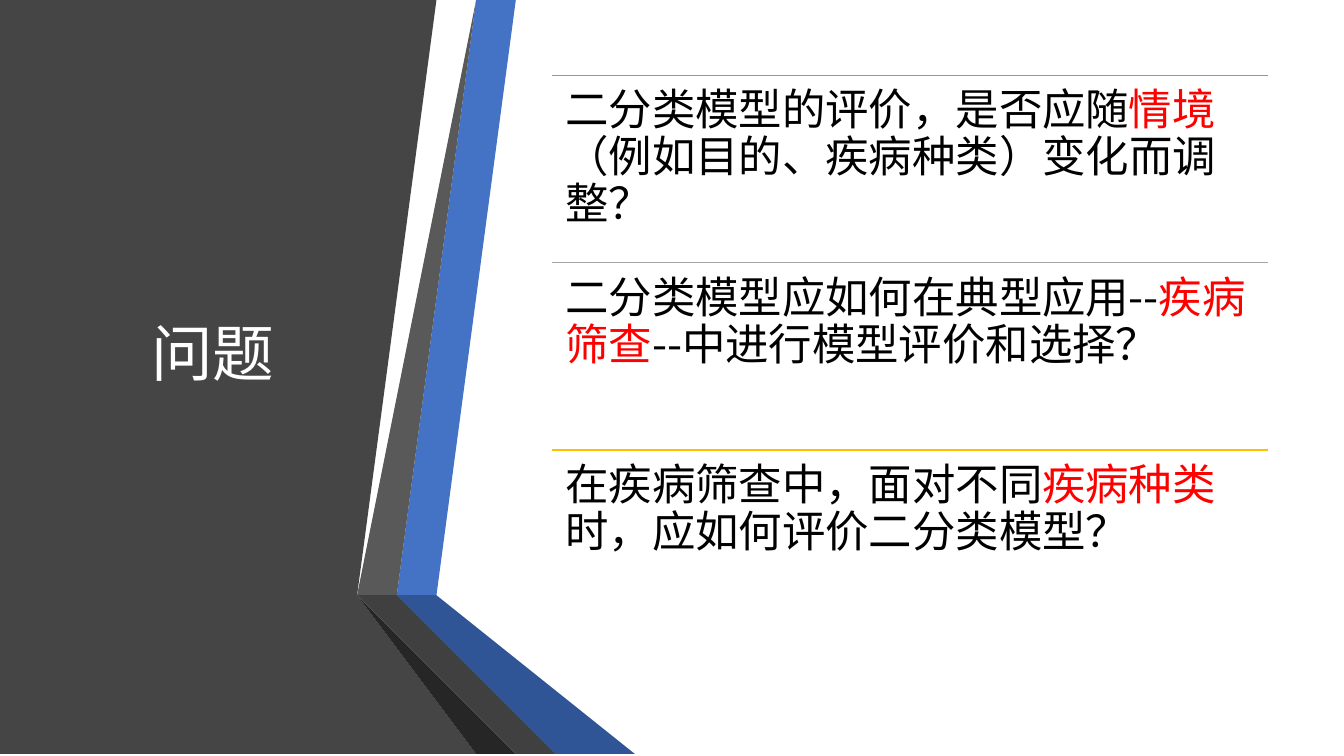
from dataclasses import dataclass

from lxml.etree import SubElement
from pptx import Presentation
from pptx.dml.color import RGBColor as Rgb
from pptx.enum.shapes import MSO_CONNECTOR as Connector
from pptx.enum.text import MSO_ANCHOR as Anchor, MSO_AUTO_SIZE as AutoSize, PP_ALIGN as Align
from pptx.oxml.ns import qn
from pptx.slide import Slide
from pptx.text.text import TextFrame
from pptx.util import Cm, Pt

FONT = "Noto Sans CJK SC"
COLORS = {
    "panel": "454545",
    "blue": "4472C4",
    "deep blue": "2F5597",
    "navy": "203864",
    "gray": "595959",
    "charcoal": "404040",
    "black edge": "262626",
    "orange": "ED7D31",
    "silver": "A5A5A5",
    "gold": "FFC000",
    "white": "FFFFFF",
    "black": "000000",
    "red": "FF0000",
}
PAGE_WIDTH, PAGE_HEIGHT = 33.87, 19.05
ROW_LEFT, ROW_TOP, ROW_WIDTH, ROW_HEIGHT = 13.92, 1.9, 18.03, 4.72


@dataclass(frozen=True)
class Band:
    color: str
    points: tuple[tuple[float, float], ...]


@dataclass(frozen=True)
class Question:
    rule_color: str
    before: str
    keyword: str
    after: str


BANDS = (
    Band("panel", ((0, 0), (11.4, 0), (9.04, 14.62), (12.24, PAGE_HEIGHT), (0, PAGE_HEIGHT))),
    Band("blue", ((10.06, 14.68), (10.74, 14.81), (13.18, 0), (12.47, 0))),
    Band("gray", ((12.32, 0), (11.61, 0), (9.22, 14.55), (9.91, 14.66))),
    Band("black edge", ((9.22, 14.55), (12.47, PAGE_HEIGHT), (12.62, PAGE_HEIGHT))),
    Band("navy", ((10.06, 14.71), (14.07, PAGE_HEIGHT), (14.22, PAGE_HEIGHT))),
    Band("deep blue", ((10.06, 14.71), (14.22, PAGE_HEIGHT), (15.98, PAGE_HEIGHT),
                       (10.74, 14.81), (10.06, 14.68))),
    Band("charcoal", ((13.92, PAGE_HEIGHT), (10.03, 14.81), (9.88, 14.68), (9.91, 14.66),
                      (9.22, 14.55), (12.62, PAGE_HEIGHT))),
)
QUESTIONS = (
    Question("orange", "二分类模型的评价，是否应随", "情境", "（例如目的、疾病种类）变化而调整？"),
    Question("silver", "二分类模型应如何在典型应用--", "疾病筛查", "--中进行模型评价和选择？"),
    Question("gold", "在疾病筛查中，面对不同", "疾病种类", "时，应如何评价二分类模型？"),
)


def rgb(color: str) -> Rgb:
    return Rgb.from_string(COLORS[color])


def add_span(frame: TextFrame, text: str, *, size: float, color: str,
             align: Align = Align.LEFT) -> None:
    para = frame.paragraphs[0]
    para.alignment = align
    para.line_spacing = 0.9
    span = para.add_run()
    span.text = text
    span.font.size = Pt(size)
    span.font.name = FONT
    span.font.color.rgb = rgb(color)
    properties = span.font._element
    properties.set("lang", "zh-CN")
    SubElement(properties, qn("a:ea")).set("typeface", FONT)


def draw_band(page: Slide, band: Band) -> None:
    start, *rest = band.points
    builder = page.shapes.build_freeform(*start, scale=Cm(1))
    builder.add_line_segments(rest, close=True)
    shape = builder.convert_to_shape()
    shape.shadow.inherit = False
    shape.fill.solid()
    shape.fill.fore_color.rgb = rgb(band.color)
    shape.line.fill.background()


def draw_title(page: Slide, text: str) -> None:
    title = page.shapes.title
    title.left, title.top, title.width, title.height = Cm(1.5), Cm(1.9), Cm(7.72), Cm(14.17)
    frame = title.text_frame
    frame.word_wrap = True
    frame.auto_size = AutoSize.NONE
    frame.vertical_anchor = Anchor.MIDDLE
    add_span(frame, text, size=44, color="white", align=Align.CENTER)


def draw_question(page: Slide, question: Question, top: float) -> None:
    rule = page.shapes.add_connector(
        Connector.STRAIGHT, Cm(ROW_LEFT), Cm(top), Cm(ROW_LEFT + ROW_WIDTH), Cm(top))
    rule.line.color.rgb = rgb(question.rule_color)
    rule.line.width = Pt(1)
    SubElement(rule._element.spPr, qn("a:effectLst"))

    box = page.shapes.add_textbox(Cm(ROW_LEFT), Cm(top), Cm(ROW_WIDTH), Cm(ROW_HEIGHT))
    frame = box.text_frame
    frame.word_wrap = True
    frame.margin_left = frame.margin_right = Cm(0.33)
    frame.margin_top = frame.margin_bottom = Cm(0.33)
    add_span(frame, question.before, size=31, color="black")
    add_span(frame, question.keyword, size=31, color="red")
    add_span(frame, question.after, size=31, color="black")


def main() -> None:
    deck = Presentation()
    deck.slide_width, deck.slide_height = Cm(PAGE_WIDTH), Cm(PAGE_HEIGHT)
    page = deck.slides.add_slide(deck.slide_layouts.get_by_name("Title Only"))
    page.background.fill.solid()
    page.background.fill.fore_color.rgb = rgb("white")

    for band in BANDS:
        draw_band(page, band)
    title = page.shapes.title._element
    page.shapes._spTree.remove(title)
    page.shapes._spTree.append(title)
    draw_title(page, "问题")
    for row, question in enumerate(QUESTIONS):
        draw_question(page, question, ROW_TOP + row * ROW_HEIGHT)

    deck.save("out.pptx")


if __name__ == "__main__":
    main()
